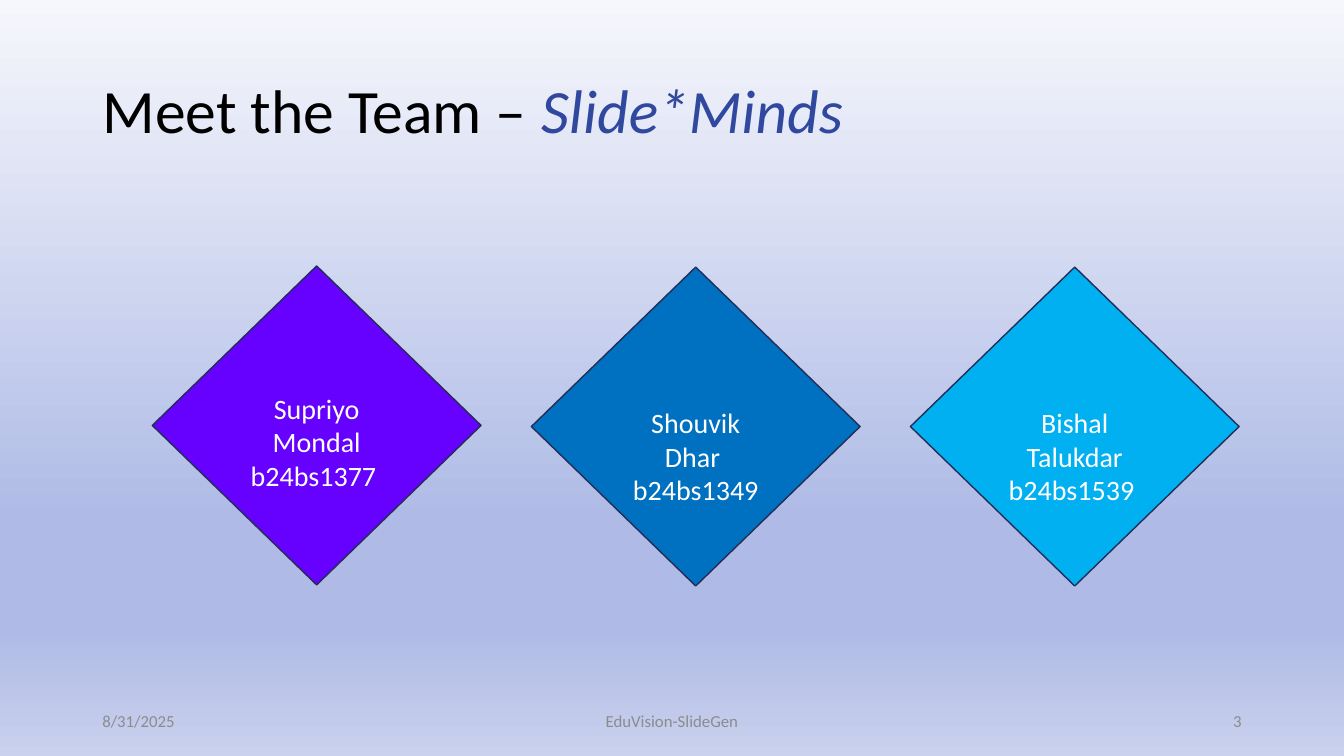
from copy import deepcopy
from pptx import Presentation
from pptx.dml.color import RGBColor
from pptx.enum.shapes import MSO_SHAPE
from pptx.enum.text import MSO_ANCHOR, PP_ALIGN
from pptx.util import Pt

TITLE = [("Meet the Team – ", "000000", False), ("Slide*Minds", "31489F", True)]
TEAM = [
    ("Supriyo Mondal", "b24bs1377 ", "6600FF", 190, 9.4),
    ("Shouvik Dhar ", "b24bs1349", "0070C0", 190.8, 0),
    ("Bishal Talukdar", "b24bs1539 ", "00B0F0", 190.8, 0),
]
FOOT = [
    ("8/31/2025", 66, 216, PP_ALIGN.LEFT),
    ("EduVision-SlideGen", 318, 324, PP_ALIGN.CENTER),
    ("3", 678, 216, PP_ALIGN.RIGHT),
]
STOPS = [(0, "F6F7FC"), (0.69, "AFBBE6"), (0.83, "AFBBE6"), (1, "CAD1EE")]
LEFT, STEP, WIDE, HIGH = 108.8, 270.75, 234.8, 227.8


def color(code):
    return RGBColor.from_string(code)


def add_run(para, text, size, code, slant=False):
    run = para.add_run()
    run.text = text
    font = run.font
    font.name, font.size, font.italic = "Calibri", Pt(size), slant
    font.color.rgb = color(code)


def paint(slide):
    fill = slide.background.fill
    fill.gradient()
    fill.gradient_angle = 270
    first = fill.gradient_stops[0]
    group = slide.element.xpath(".//a:gsLst")[0]
    while len(group) < len(STOPS):
        group.append(deepcopy(group[0]))
    for stop, (place, code) in zip(fill.gradient_stops, STOPS):
        stop.position = place
        stop.color.rgb = color(code)


def add_title(slide):
    title = slide.shapes.title
    title.left, title.top, title.width, title.height = Pt(66), Pt(28.8), Pt(828), Pt(104.4)
    frame = title.text_frame
    frame.vertical_anchor = MSO_ANCHOR.MIDDLE
    para = frame.paragraphs[0]
    para.alignment = PP_ALIGN.LEFT
    para.line_spacing = 0.9
    for text, code, slant in TITLE:
        add_run(para, text, 44, code, slant)


def add_team(slide):
    for i, (name, roll, code, top, base) in enumerate(TEAM):
        card = slide.shapes.add_shape(
            MSO_SHAPE.DIAMOND, Pt(LEFT + i * STEP), Pt(top), Pt(WIDE), Pt(HIGH))
        card.shadow.inherit = False
        card.fill.solid()
        card.fill.fore_color.rgb = color(code)
        card.line.color.rgb = color("222D58")
        card.line.width = Pt(1)
        frame = card.text_frame
        frame.word_wrap = True
        frame.vertical_anchor = MSO_ANCHOR.BOTTOM
        frame.margin_top, frame.margin_bottom = Pt(0), Pt(base)
        for para, text in zip((frame.paragraphs[0], frame.add_paragraph()), (name, roll)):
            para.alignment = PP_ALIGN.CENTER
            add_run(para, text, 20, "FFFFFF")


def add_foot(slide):
    for text, left, width, align in FOOT:
        frame = slide.shapes.add_textbox(Pt(left), Pt(500.4), Pt(width), Pt(28.8)).text_frame
        frame.word_wrap = True
        frame.vertical_anchor = MSO_ANCHOR.MIDDLE
        para = frame.paragraphs[0]
        para.alignment = align
        add_run(para, text, 12, "8C8C8C")


def main():
    deck = Presentation()
    deck.slide_width, deck.slide_height = Pt(960), Pt(540)
    slide = deck.slides.add_slide(deck.slide_layouts[5])
    paint(slide)
    add_title(slide)
    add_foot(slide)
    add_team(slide)
    deck.save("out.pptx")


if __name__ == "__main__":
    main()
